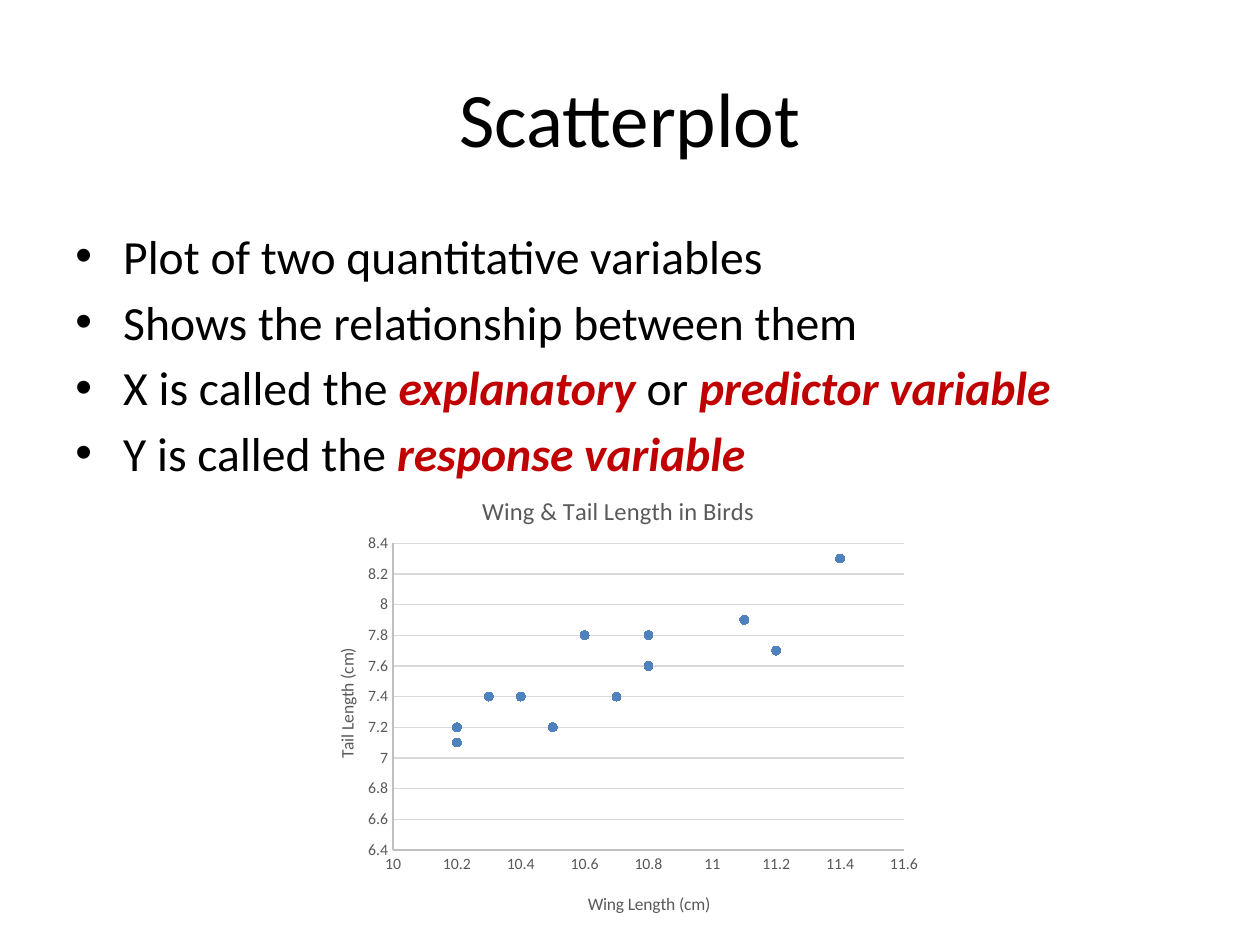
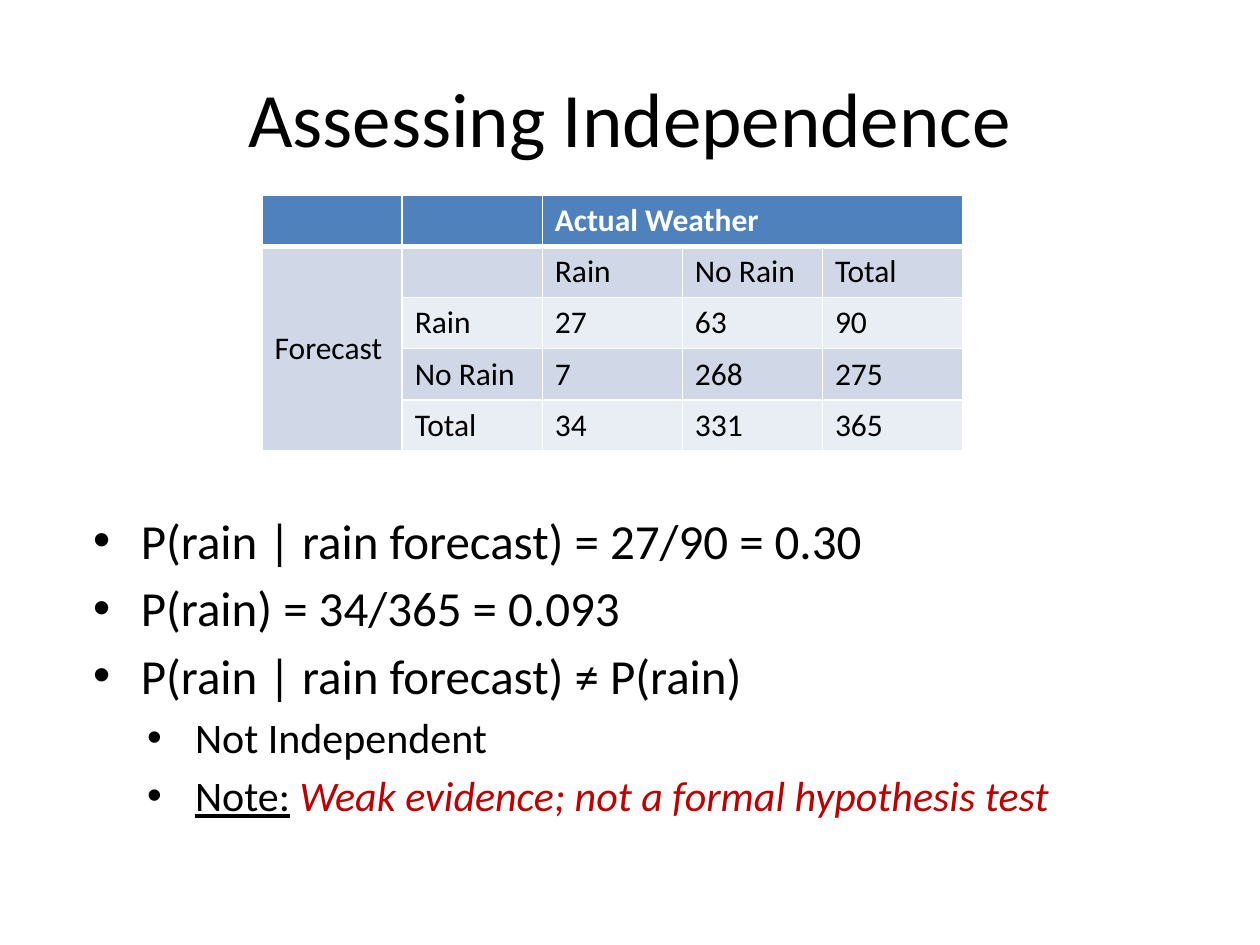
from lxml import etree
from pptx import Presentation
from pptx.chart.data import XyChartData
from pptx.dml.color import RGBColor
from pptx.enum.chart import XL_CHART_TYPE, XL_MARKER_STYLE, XL_TICK_MARK
from pptx.enum.text import MSO_ANCHOR, PP_ALIGN
from pptx.oxml.ns import qn
from pptx.util import Inches, Pt

CENTER, MIDDLE = PP_ALIGN.CENTER, MSO_ANCHOR.MIDDLE
SCATTER, CIRCLE = XL_CHART_TYPE.XY_SCATTER, XL_MARKER_STYLE.CIRCLE
NO_TICK = XL_TICK_MARK.NONE

FONT = "Calibri"
BLACK, WHITE, RED, BLUE = "000000", "FFFFFF", "C00000", "4F81BD"
GRAY, AXIS_GRAY, GRID_GRAY = "595959", "BFBFBF", "D9D9D9"
BAND_DARK, BAND_LIGHT = "D0D8E8", "E9EDF4"
TITLE_ONLY = 5


def rgb(color):
    return RGBColor.from_string(color)


def set_layout(parent, position, **places):
    """Give a chart part a fixed place, in fractions of the chart."""
    for old in parent.findall(qn("c:layout")):
        parent.remove(old)
    layout = etree.Element(qn("c:layout"))
    manual = etree.SubElement(layout, qn("c:manualLayout"))
    if "w" in places:
        etree.SubElement(manual, qn("c:layoutTarget"), val="inner")
    for mode in ("xMode", "yMode"):
        etree.SubElement(manual, qn("c:" + mode), val="edge")
    for name, value in places.items():
        etree.SubElement(manual, qn("c:" + name), val=str(value))
    parent.insert(position, layout)


def set_border(cell, side, width):
    properties = cell._tc.get_or_add_tcPr()
    line = etree.Element(qn("a:ln" + side), w=str(Pt(width)))
    fill = etree.SubElement(line, qn("a:solidFill"))
    etree.SubElement(fill, qn("a:srgbClr"), val=WHITE)
    borders = [child for child in properties if child.tag.startswith(qn("a:ln"))]
    properties.insert(len(borders), line)


class Deck:
    def __init__(self):
        self.presentation = Presentation()
        self.presentation.slide_width = Inches(10)
        self.presentation.slide_height = Inches(7.5)
        self.slide = None

    def style(self, font, size, color=BLACK, bold=False, italic=False, underline=False):
        font.name, font.size = FONT, Pt(size)
        font.bold, font.italic, font.underline = bold, italic, underline
        font.color.rgb = rgb(color)

    def add_run(self, paragraph, text, size, **look):
        run = paragraph.add_run()
        run.text = text
        self.style(run.font, size, **look)

    def add_slide(self, title):
        layout = self.presentation.slide_layouts[TITLE_ONLY]
        self.slide = self.presentation.slides.add_slide(layout)
        shape = self.slide.shapes.title
        shape.left, shape.top = Inches(0.5), Inches(0.3)
        shape.width, shape.height = Inches(9), Inches(1.25)
        shape.text_frame.vertical_anchor = MIDDLE
        paragraph = shape.text_frame.paragraphs[0]
        paragraph.alignment = CENTER
        self.add_run(paragraph, title, 44)

    def add_bullets(self, left, top, width, height, items):
        """Each item is (indent, size, runs); each run is (text, look)."""
        box = self.slide.shapes.add_textbox(
            Inches(left), Inches(top), Inches(width), Inches(height))
        frame = box.text_frame
        frame.word_wrap = True
        for index, (indent, size, runs) in enumerate(items):
            paragraph = frame.add_paragraph() if index else frame.paragraphs[0]
            properties = paragraph._p.get_or_add_pPr()
            properties.set("marL", str(Inches(indent)))
            properties.set("indent", str(Inches(-0.38)))
            etree.SubElement(properties, qn("a:buFont"), typeface="Arial")
            etree.SubElement(properties, qn("a:buChar"), char="•")
            if index:
                paragraph.space_before = Pt(round(size * 0.18, 1))
            for text, look in runs:
                self.add_run(paragraph, text, size, **look)

    def add_chart_title(self, owner, text, size, x, y):
        paragraph = owner.text_frame.paragraphs[0]
        self.add_run(paragraph, text, size, color=GRAY)
        set_layout(owner._element, 1, x=x, y=y)

    def format_axis(self, axis, low, high):
        axis.minimum_scale, axis.maximum_scale, axis.major_unit = low, high, 0.2
        axis.major_tick_mark = axis.minor_tick_mark = NO_TICK
        self.style(axis.tick_labels.font, 9, GRAY)
        axis.format.line.color.rgb = rgb(AXIS_GRAY)
        axis.format.line.width = Pt(0.75)

    def add_scatter(self, left, top, width, height, title, x_title, y_title, points):
        data = XyChartData()
        series_data = data.add_series("Series 1")
        for x, y in points:
            series_data.add_data_point(x, y)
        chart = self.slide.shapes.add_chart(
            SCATTER, Inches(left), Inches(top), Inches(width), Inches(height), data).chart
        self.style(chart.font, 10)
        chart.has_legend = False
        chart.has_title = True
        x_axis, y_axis = chart.category_axis, chart.value_axis

        # Axes and grid
        self.format_axis(x_axis, 10, 11.6)
        self.format_axis(y_axis, 6.4, 8.4)
        x_axis.has_major_gridlines = False
        y_axis.has_major_gridlines = True
        grid = y_axis.major_gridlines.format.line
        grid.color.rgb, grid.width = rgb(GRID_GRAY), Pt(0.75)

        # Titles and plot area
        self.add_chart_title(chart.chart_title, title, 14, 0.28, 0.05)
        self.add_chart_title(x_axis.axis_title, x_title, 10, 0.45, 0.9)
        self.add_chart_title(y_axis.axis_title, y_title, 10, 0.05, 0.38)
        plot_area = chart._chartSpace.find(".//" + qn("c:plotArea"))
        set_layout(plot_area, 0, x=0.146, y=0.164, w=0.811, h=0.653)

        # Markers
        plot = chart.plots[0]
        plot.vary_by_categories = False
        series = plot.series[0]
        series.format.line.fill.background()
        series.marker.style, series.marker.size = CIRCLE, 5
        series.marker.format.fill.solid()
        series.marker.format.fill.fore_color.rgb = rgb(BLUE)
        series.marker.format.line.color.rgb = rgb(BLUE)

    def add_table(self, left, top, width, height, rows, merges):
        table = self.slide.shapes.add_table(
            len(rows), len(rows[0]), Inches(left), Inches(top),
            Inches(width), Inches(height)).table
        for row_index, row in enumerate(rows):
            header = row_index == 0
            band = BLUE if header else BAND_DARK if row_index % 2 else BAND_LIGHT
            for column_index, text in enumerate(row):
                cell = table.cell(row_index, column_index)
                cell.fill.solid()
                cell.fill.fore_color.rgb = rgb(band)
                for side in "LRTB":
                    thick = (row_index, side) in ((0, "B"), (1, "T"))
                    set_border(cell, side, 3 if thick else 1)
                paragraph = cell.text_frame.paragraphs[0]
                if text:
                    self.add_run(paragraph, text, 18,
                                 color=WHITE if header else BLACK, bold=header)
                else:
                    paragraph.font.size = Pt(18)
        for first, last in merges:
            cell = table.cell(*first)
            cell.merge(table.cell(*last))
            cell.vertical_anchor = MIDDLE


def main():
    deck = Deck()
    plain = {}
    key_term = {"color": RED, "bold": True, "italic": True}

    # Scatterplot
    deck.add_slide("Scatterplot")
    definitions = [
        [("Plot of two quantitative variables", plain)],
        [("Shows the relationship between them", plain)],
        [("X is called the ", plain), ("explanatory", key_term),
         (" or ", plain), ("predictor variable", key_term)],
        [("Y is called the ", plain), ("response variable", key_term)],
    ]
    deck.add_bullets(0.5, 1.75, 9, 1.93, [(0.38, 27.2, runs) for runs in definitions])
    wing_lengths = [10.4, 10.8, 11.1, 10.2, 10.3, 10.2, 10.7, 10.5, 10.8, 11.2, 10.6, 11.4]
    tail_lengths = [7.4, 7.6, 7.9, 7.2, 7.4, 7.1, 7.4, 7.2, 7.8, 7.7, 7.8, 8.3]
    deck.add_scatter(2.39, 3.7, 5, 3.73, "Wing & Tail Length in Birds",
                     "Wing Length (cm)", "Tail Length (cm)",
                     zip(wing_lengths, tail_lengths))

    # Assessing independence
    deck.add_slide("Assessing Independence")
    weather_counts = [
        ["", "", "Actual Weather", "", ""],
        ["Forecast", "", "Rain", "No Rain", "Total"],
        ["", "Rain", "27", "63", "90"],
        ["", "No Rain", "7", "268", "275"],
        ["", "Total", "34", "331", "365"],
    ]
    deck.add_table(2.08, 1.55, 5.56, 2.03, weather_counts,
                   [((0, 2), (0, 4)), ((1, 0), (4, 0))])
    deck.add_bullets(0.64, 4, 9, 3.24, [
        (0.38, 28, [("P(rain | rain forecast) = 27/90 = 0.30", plain)]),
        (0.38, 28, [("P(rain) = 34/365 = 0.093", plain)]),
        (0.38, 28, [("P(rain | rain forecast) ≠ P(rain)", plain)]),
        (0.81, 24, [("Not Independent", plain)]),
        (0.81, 24, [("Note:", {"underline": True}), (" ", plain),
                    ("Weak evidence; not a formal hypothesis test",
                     {"color": RED, "italic": True})]),
    ])

    deck.presentation.save("out.pptx")


if __name__ == "__main__":
    main()
